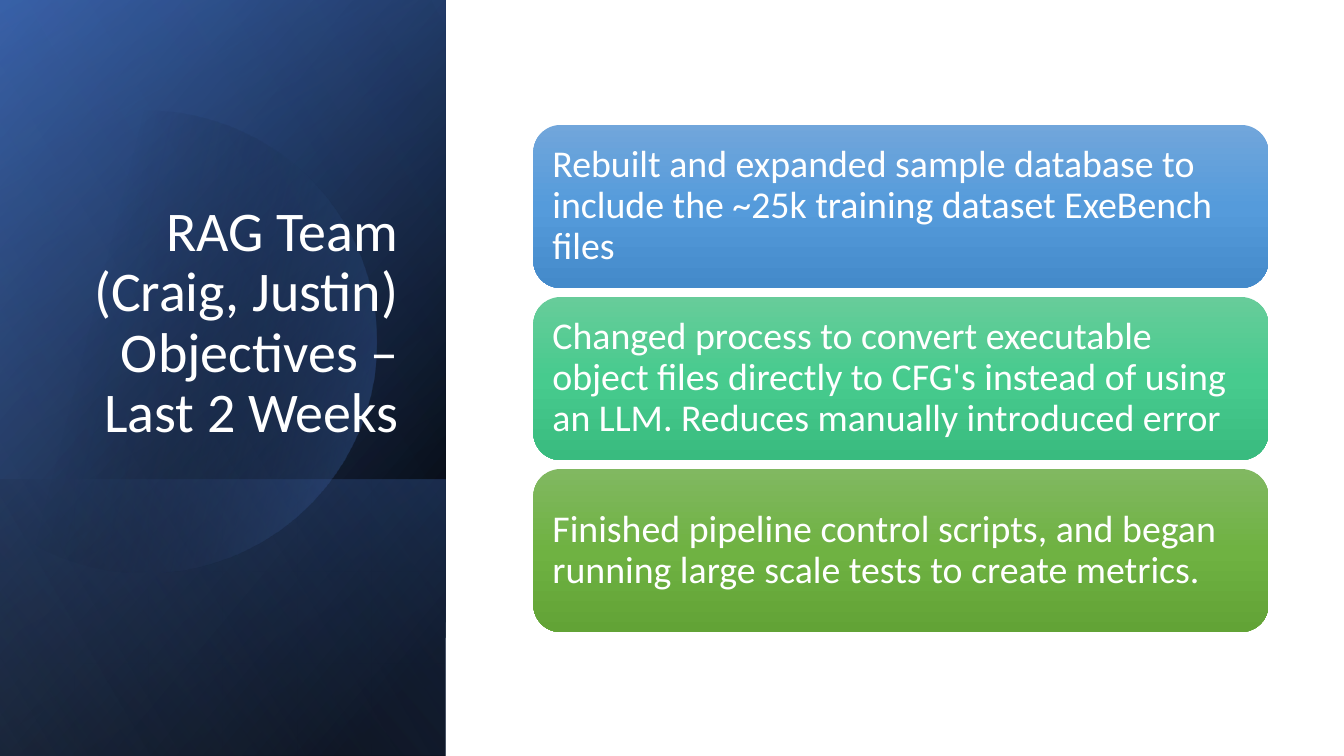
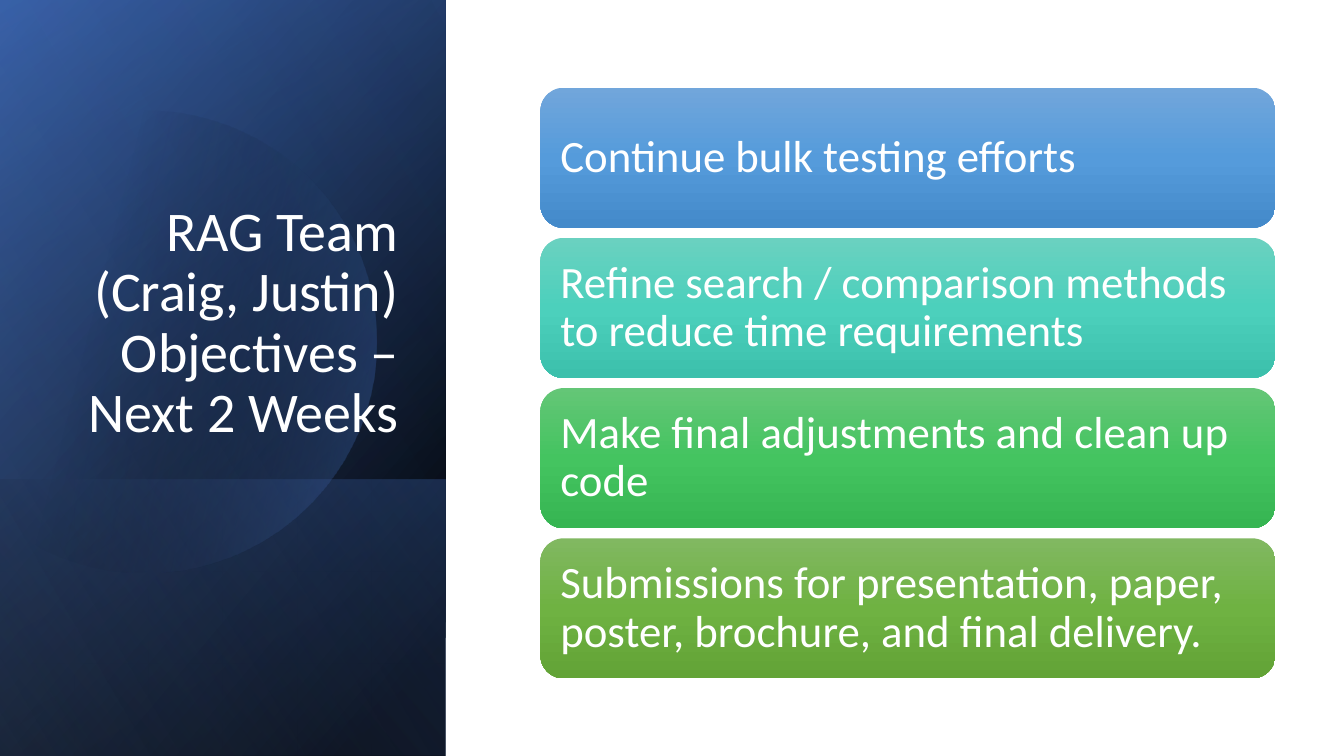
from dataclasses import dataclass
from math import acos, cos, sin

from pptx import Presentation
from pptx.dml.color import RGBColor
from pptx.enum.shapes import MSO_SHAPE
from pptx.enum.text import MSO_ANCHOR, PP_ALIGN
from pptx.oxml import parse_xml
from pptx.oxml.ns import nsdecls, qn
from pptx.util import Inches, Pt


@dataclass(frozen=True)
class Theme:
    font: str = "Calibri"
    text: RGBColor = RGBColor(0xFF, 0xFF, 0xFF)
    title_size: int = 40
    line_spacing: float = 0.9
    black: str = "000000"
    navy: str = "2F5597"
    blue: str = "4472C4"
    pale_blue: str = "8FAADC"
    # Top, middle and bottom colours of the cards
    card_blue: tuple = ("71A6DB", "559BDB", "448ACA")
    card_teal: tuple = ("6AD1C0", "4CD0BC", "3CC0AC")
    card_mint: tuple = ("67CC9A", "47CB8E", "39BB7F")
    card_green: tuple = ("64C677", "44C460", "36B552")
    card_olive: tuple = ("81B861", "6FB242", "62A336")


THEME = Theme()
SLIDE_W, SLIDE_H = 13.33, 7.5
PANEL = (0, 0, 4.42, SLIDE_H)


def fill_gradient(sp, stops, angle):
    """Fill sp from (position %, colour, opacity %) stops, with no line or shadow."""
    marks = "".join(
        f'<a:gs pos="{pos * 1000}"><a:srgbClr val="{color}">'
        f'<a:alpha val="{opacity * 1000}"/></a:srgbClr></a:gs>'
        for pos, color, opacity in stops)
    sp.shadow.inherit = False
    sp.line.fill.background()
    sp.fill.solid()
    props = sp._element.spPr
    props.replace(props.find(qn("a:solidFill")), parse_xml(
        f'<a:gradFill {nsdecls("a")} rotWithShape="1"><a:gsLst>{marks}</a:gsLst>'
        f'<a:lin ang="{angle * 60000}" scaled="0"/></a:gradFill>'))


def format_text(tf, text, size, align):
    tf.word_wrap = True
    tf.text = text
    p = tf.paragraphs[0]
    p.alignment = align
    p.line_spacing = THEME.line_spacing
    font = p.runs[0].font
    font.name, font.size, font.color.rgb = THEME.font, Pt(size), THEME.text


def add_turned_layer(s, box, stops, angle):
    """Cover box with a mirrored rectangle turned by 90 degrees."""
    x, y, w, h = box
    sp = s.shapes.add_shape(
        MSO_SHAPE.RECTANGLE, Inches(x + (w - h) / 2), Inches(y + (h - w) / 2),
        Inches(h), Inches(w))
    sp.rotation = 90
    sp._element.spPr.find(qn("a:xfrm")).set("flipH", "1")
    fill_gradient(sp, stops, angle)


def add_cut_circle(s, box, stops, angle):
    """Draw a circle that is cut off by the left edge of box."""
    x, y, _, _ = box
    dx, cy, radius, steps = 1.44, y + 3.39, 2.29, 90
    limit = acos(-dx / radius)
    turns = [limit * (2 * i / steps - 1) for i in range(steps + 1)]
    points = [(Inches(x + dx + radius * cos(t)), Inches(cy + radius * sin(t)))
              for t in turns]
    outline = s.shapes.build_freeform(*points[0])
    outline.add_line_segments(points[1:], close=True)
    fill_gradient(outline.convert_to_shape(), stops, angle)


def add_title_panel(s, box, title):
    x, y, w, h = box
    foot = 2.74
    add_turned_layer(s, box, [(8, THEME.black, 100), (100, THEME.navy, 100)], 50)
    add_turned_layer(s, box, [(0, THEME.black, 0), (99, THEME.blue, 46)], 30)
    add_turned_layer(s, (x, y + h - foot, w, foot),
                     [(2, THEME.blue, 29), (100, THEME.black, 30)], 130)
    add_cut_circle(s, box, [(29, THEME.black, 0), (100, THEME.blue, 43)], 14)
    add_turned_layer(s, box, [(0, THEME.black, 0), (99, THEME.pale_blue, 11)], 120)

    tb = s.shapes.add_textbox(Inches(x + 0.64), Inches(y + 1.84),
                              Inches(3.41), Inches(2.62))
    tb.text_frame.vertical_anchor = MSO_ANCHOR.BOTTOM
    format_text(tb.text_frame, title, THEME.title_size, PP_ALIGN.RIGHT)


def add_cards(s, box, cards, gap, size, inset):
    """Stack (text, colours) cards of equal height in box."""
    x, y, w, h = box
    card_h = (h - gap * (len(cards) - 1)) / len(cards)
    for i, (text, colors) in enumerate(cards):
        sp = s.shapes.add_shape(
            MSO_SHAPE.ROUNDED_RECTANGLE, Inches(x), Inches(y + i * (card_h + gap)),
            Inches(w), Inches(card_h))
        fill_gradient(sp, [(pos, c, 100) for pos, c in zip((0, 50, 100), colors)], 90)
        tf = sp.text_frame
        tf.vertical_anchor = MSO_ANCHOR.MIDDLE
        tf.margin_left = tf.margin_right = Inches(inset)
        tf.margin_top = tf.margin_bottom = Inches(inset)
        format_text(tf, text, size, PP_ALIGN.LEFT)


def add_objectives_slide(prs, title, **stack):
    s = prs.slides.add_slide(prs.slide_layouts[6])
    add_title_panel(s, PANEL, title)
    add_cards(s, **stack)


def main():
    prs = Presentation()
    prs.slide_width, prs.slide_height = Inches(SLIDE_W), Inches(SLIDE_H)
    add_objectives_slide(
        prs, "RAG Team (Craig, Justin) Objectives – Last 2 Weeks",
        box=(5.29, 1.24, 7.29, 5.03), gap=0.09, size=27, inset=0.11,
        cards=[
            ("Rebuilt and expanded sample database to include the ~25k training "
             "dataset ExeBench files", THEME.card_blue),
            ("Changed process to convert executable object files directly to CFG's "
             "instead of using an LLM. Reduces manually introduced error",
             THEME.card_mint),
            ("Finished pipeline control scripts, and began running large scale tests "
             "to create metrics.", THEME.card_olive),
        ])
    add_objectives_slide(
        prs, "RAG Team (Craig, Justin) Objectives – Next 2 Weeks",
        box=(5.36, 0.87, 7.29, 5.86), gap=0.1, size=32, inset=0.13,
        cards=[
            ("Continue bulk testing efforts", THEME.card_blue),
            ("Refine search / comparison methods to reduce time requirements",
             THEME.card_teal),
            ("Make final adjustments and clean up code", THEME.card_green),
            ("Submissions for presentation, paper, poster, brochure, and final "
             "delivery.", THEME.card_olive),
        ])
    prs.save("out.pptx")


if __name__ == "__main__":
    main()
